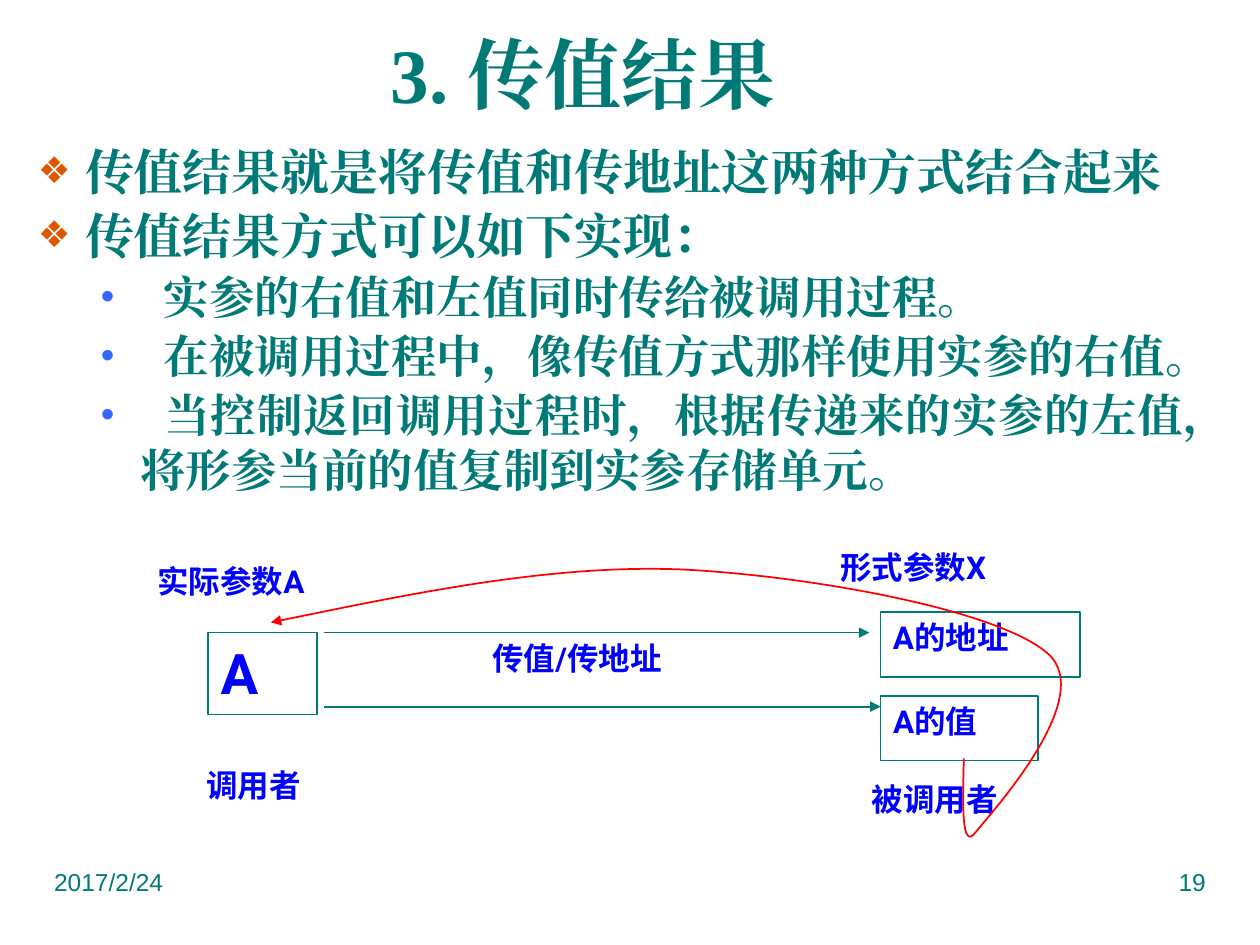
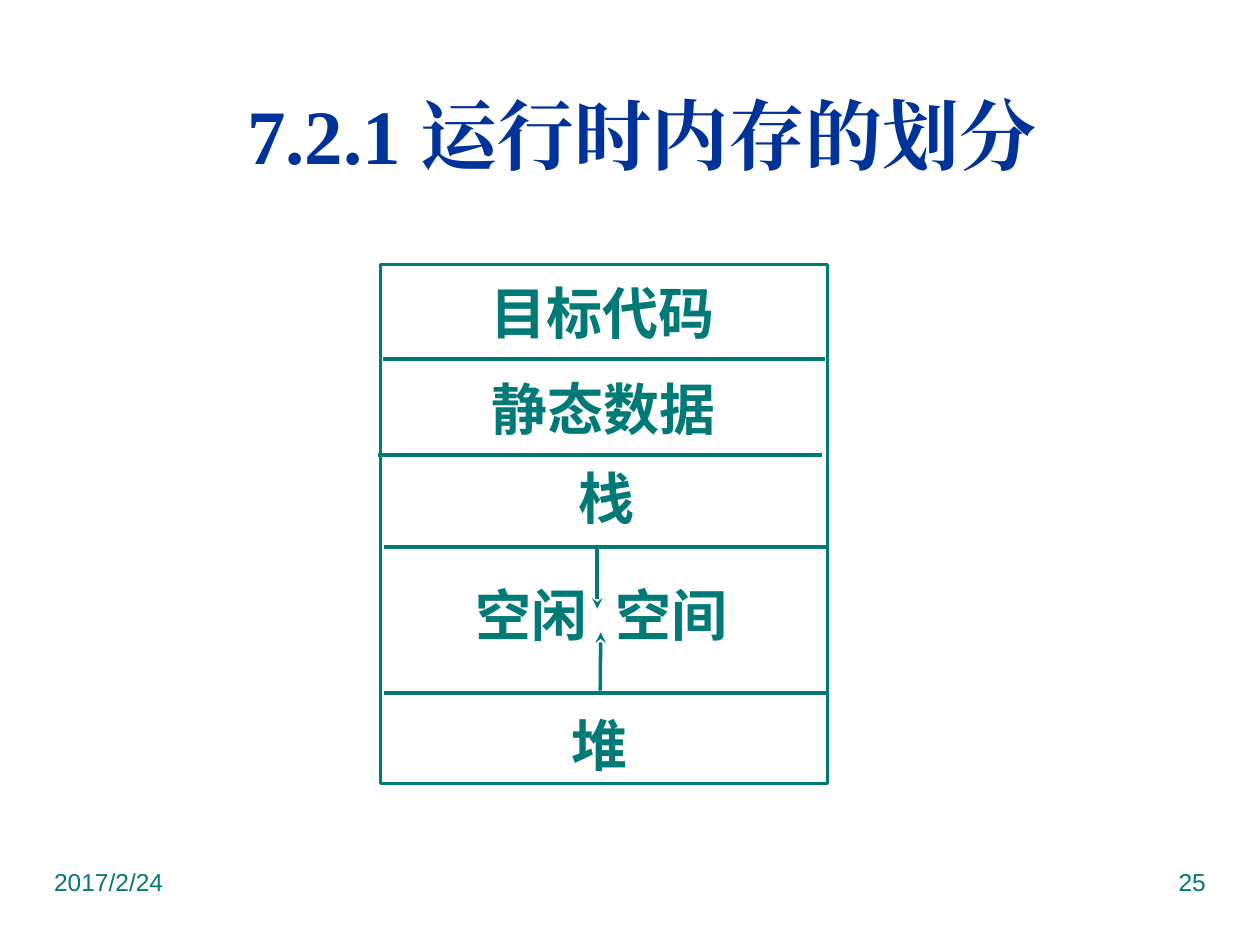
from dataclasses import dataclass

from lxml.etree import SubElement
from pptx import Presentation
from pptx.dml.color import RGBColor
from pptx.enum.shapes import MSO_CONNECTOR, MSO_SHAPE
from pptx.enum.text import MSO_ANCHOR, MSO_AUTO_SIZE, PP_ALIGN
from pptx.oxml.ns import qn
from pptx.util import Pt

COLORS = {
    "teal": "007A77",
    "navy": "003399",
    "blue": "0000FF",
    "red": "FF0000",
    "orange": "DC5900",
    "bullet_blue": "3366FF",
}
SERIF, LABEL_FONT, FOOTER_FONT = "Times New Roman", "Roboto", "Arial"


@dataclass(frozen=True)
class Box:
    """Left, top, width and height in points."""
    left: float
    top: float
    width: float
    height: float

    def lengths(self) -> tuple:
        """Return the four lengths for python-pptx."""
        return Pt(self.left), Pt(self.top), Pt(self.width), Pt(self.height)


@dataclass(frozen=True)
class Label:
    """A blue text in the call diagram, with or without a frame."""
    text: str
    box: Box
    size: float = 18
    framed: bool = False


@dataclass(frozen=True)
class Line:
    """A straight line with an optional arrowhead at its end."""
    start: tuple[float, float]
    end: tuple[float, float]
    width: float
    arrow: str = ""


@dataclass(frozen=True)
class ListLevel:
    """The look of one level of the bullet list."""
    size: float
    line_height: float
    space_before: float
    margin: float
    hanging: float
    symbol: str
    color: str
    percent: int


@dataclass(frozen=True)
class MemoryArea:
    """A named area of the memory map."""
    text: str
    left: float
    top: float
    gap: float = 0


TOP_LEVEL = ListLevel(28, 33.8, 2.8, 27, 27, "❖", "orange", 75)
SUB_LEVEL = ListLevel(26, 31.4, 2.4, 58.5, 22.5, "•", "bullet_blue", 85)
POINTS = [
    (TOP_LEVEL, "传值结果就是将传值和传地址这两种方式结合起来"),
    (TOP_LEVEL, "传值结果方式可以如下实现："),
    (SUB_LEVEL, "\t实参的右值和左值同时传给被调用过程。"),
    (SUB_LEVEL, "\t在被调用过程中，像传值方式那样使用实参的右值。"),
    (SUB_LEVEL, "\t当控制返回调用过程时，根据传递来的实参的左值，将形参当前的值复制到实参存储单元。"),
]
CALL_LABELS = [
    Label("调用者", Box(110.9, 434.2, 117.4, 36)),
    Label("被调用者", Box(491, 442, 138.2, 36)),
    Label("A", Box(119, 361.5, 62, 46.8), 32, True),
    Label("实际参数A", Box(82.8, 317.5, 159, 36)),
    Label("形式参数X", Box(473, 309.6, 159, 36)),
    Label("A的值", Box(503.2, 397.6, 90, 37), framed=True),
    Label("传值/传地址", Box(274.3, 361.5, 148.3, 36)),
    Label("A的地址", Box(503.2, 349.8, 114, 37), framed=True),
]
CALL_ARROWS = [
    Line((185, 403.8), (503.2, 403.8), 1, "triangle"),
    Line((185, 361.5), (496.8, 361.5), 1, "triangle"),
]
RETURN_CURVE = [
    (550.8, 433.4),
    (550.1, 460), (549.4, 486), (557.3, 475.9),
    (565.2, 465.8), (627.1, 398.9), (599, 373.7),
    (571, 348.5), (463, 329), (388.8, 325.4),
    (315.4, 322.6), (235.4, 339.1), (154.8, 355.7),
]
MEMORY_LINES = [
    Line((218.9, 205.2), (471.6, 205.2), 2),
    Line((216, 259.9), (470, 259.9), 2),
    Line((219.6, 396), (473, 396), 2),
    Line((219.6, 312.5), (473, 312.5), 2),
    Line((341.3, 313.9), (341.3, 347.8), 2, "stealth"),
    Line((343, 394.6), (343.3, 361.4), 2, "stealth"),
]
MEMORY_AREAS = [
    MemoryArea("目标代码", 222.5, 152.6),
    MemoryArea("静态数据", 223.2, 207.4),
    MemoryArea("栈", 224.6, 258.5),
    MemoryArea("堆", 221, 399.6),
    MemoryArea("空闲 空间", 221.8, 325.4, 8),
]


def rgb(name: str) -> RGBColor:
    """Look up a palette colour."""
    return RGBColor.from_string(COLORS[name])


def write(paragraph, text: str, *, size: float, color: str, font: str,
          bold: bool = True, align=None, gap: float = 0) -> None:
    """Write formatted text, widening its first space by gap points."""
    paragraph.alignment = align
    for piece in text.partition(" ") if gap else (text,):
        run = paragraph.add_run()
        run.text = piece
        run.font.size, run.font.bold = Pt(size), bold
        run.font.name = font
        run.font.color.rgb = rgb(color)
        properties = run.font._element
        SubElement(properties, qn("a:ea")).set("typeface", font)
        if piece == " ":
            properties.set("spc", str(round(gap * 100)))


def prepare_frame(shape, anchor=MSO_ANCHOR.TOP):
    """Make the text frame wrap at a fixed size and return it."""
    frame = shape.text_frame
    frame.word_wrap = True
    frame.auto_size = MSO_AUTO_SIZE.NONE
    frame.vertical_anchor = anchor
    return frame


def place(shape, box: Box) -> None:
    """Move and size a placeholder."""
    shape.left, shape.top, shape.width, shape.height = box.lengths()


def add_text(slide, text: str, box: Box, **text_format):
    """Add a text box and return its frame."""
    frame = prepare_frame(slide.shapes.add_textbox(*box.lengths()))
    write(frame.paragraphs[0], text, **text_format)
    return frame


def style_outline(shape, color: str, width: float, arrow: str = "") -> None:
    """Set the line of a shape or connector."""
    shape.line.color.rgb = rgb(color)
    shape.line.width = Pt(width)
    if arrow:
        outline = shape.element.spPr.find(qn("a:ln"))
        SubElement(outline, qn("a:tailEnd")).set("type", arrow)


def add_frame(slide, box: Box, width: float):
    """Add an unfilled teal rectangle."""
    shape = slide.shapes.add_shape(MSO_SHAPE.RECTANGLE, *box.lengths())
    shape.fill.background()
    style_outline(shape, "teal", width)
    shape.shadow.inherit = False
    return shape


def add_line(slide, line: Line) -> None:
    """Add a teal connector."""
    ends = [Pt(value) for value in line.start + line.end]
    connector = slide.shapes.add_connector(MSO_CONNECTOR.STRAIGHT, *ends)
    style_outline(connector, "teal", line.width, line.arrow)
    SubElement(connector.element.spPr, qn("a:effectLst"))


def add_curve(slide, points: list[tuple[float, float]]) -> None:
    """Add a red curve through a start and triples of Bezier points."""
    start, *controls = [(Pt(x), Pt(y)) for x, y in points]
    builder = slide.shapes.build_freeform(*start)
    builder.add_line_segments(controls, close=False)
    shape = builder.convert_to_shape()
    shape.fill.background()
    style_outline(shape, "red", 1, "triangle")
    shape.shadow.inherit = False
    outline = next(shape.element.iter(qn("a:path")))
    segments = outline.findall(qn("a:lnTo"))
    for index in range(0, len(segments), 3):
        curve = SubElement(outline, qn("a:cubicBezTo"))
        for segment in segments[index:index + 3]:
            curve.append(segment[0])
            outline.remove(segment)


def format_list_item(paragraph, level: ListLevel, first: bool) -> None:
    """Set spacing, indent and bullet of a list item."""
    paragraph.level = int(level is SUB_LEVEL)
    paragraph.line_spacing = Pt(level.line_height)
    paragraph.space_before = Pt(0 if first else level.space_before)
    properties = paragraph._p.get_or_add_pPr()
    properties.set("marL", str(Pt(level.margin)))
    properties.set("indent", str(-Pt(level.hanging)))
    properties.set("defTabSz", str(Pt(72)))
    color = SubElement(properties, qn("a:buClr"))
    SubElement(color, qn("a:srgbClr")).set("val", COLORS[level.color])
    SubElement(properties, qn("a:buSzPct")).set("val", str(level.percent * 1000))
    SubElement(properties, qn("a:buFont")).set("typeface", FOOTER_FONT)
    SubElement(properties, qn("a:buChar")).set("char", level.symbol)


def start_slide(presentation, layout: int, title: str, box: Box, color: str, number: int):
    """Add a slide with its footer and title."""
    slide = presentation.slides.add_slide(presentation.slide_layouts[layout])
    footer = dict(size=14, color="teal", font=FOOTER_FONT, bold=False)
    add_text(slide, "2017/2/24", Box(23.8, 491.8, 180, 37.4), **footer)
    add_text(slide, str(number), Box(516.2, 491.8, 180, 37.4), align=PP_ALIGN.RIGHT, **footer)
    place(slide.shapes.title, box)
    frame = prepare_frame(slide.shapes.title, MSO_ANCHOR.MIDDLE)
    write(frame.paragraphs[0], title, size=44, color=color, font=SERIF, align=PP_ALIGN.CENTER)
    return slide


def build_value_result(presentation) -> None:
    """Build the slide on call by value-result."""
    slide = start_slide(presentation, 1, "3. 传值结果", Box(74.2, 9.4, 518.4, 64.8), "teal", 19)
    body = slide.placeholders[1]
    place(body, Box(14.4, 77, 696.2, 232.6))
    frame = prepare_frame(body)
    for index, (level, text) in enumerate(POINTS):
        paragraph = frame.add_paragraph() if index else frame.paragraphs[0]
        format_list_item(paragraph, level, index == 0)
        write(paragraph, text, size=level.size, color="teal", font=SERIF, align=PP_ALIGN.JUSTIFY)
    for label in CALL_LABELS:
        look = dict(size=label.size, color="blue", font=LABEL_FONT, align=PP_ALIGN.LEFT)
        if label.framed:
            frame = prepare_frame(add_frame(slide, label.box, 1))
            write(frame.paragraphs[0], label.text, **look)
        else:
            add_text(slide, label.text, label.box, **look)
    for arrow in CALL_ARROWS:
        add_line(slide, arrow)
    add_curve(slide, RETURN_CURVE)


def build_memory_map(presentation) -> None:
    """Build the slide on the division of run-time memory."""
    slide = start_slide(presentation, 5, "7.2.1 运行时内存的划分",
                        Box(59.8, 31.7, 614.2, 90), "navy", 25)
    add_frame(slide, Box(217.4, 151.2, 255.6, 296.6), 2)
    for line in MEMORY_LINES:
        add_line(slide, line)
    for area in MEMORY_AREAS:
        frame = add_text(slide, area.text, Box(area.left, area.top, 243.4, 46.8), size=32,
                         color="teal", font=LABEL_FONT, align=PP_ALIGN.CENTER, gap=area.gap)
        frame.margin_top = Pt(6.5)


def main() -> None:
    """Build and save the presentation."""
    presentation = Presentation()
    presentation.slide_width, presentation.slide_height = Pt(720), Pt(540)
    build_value_result(presentation)
    build_memory_map(presentation)
    presentation.save("out.pptx")


if __name__ == "__main__":
    main()
